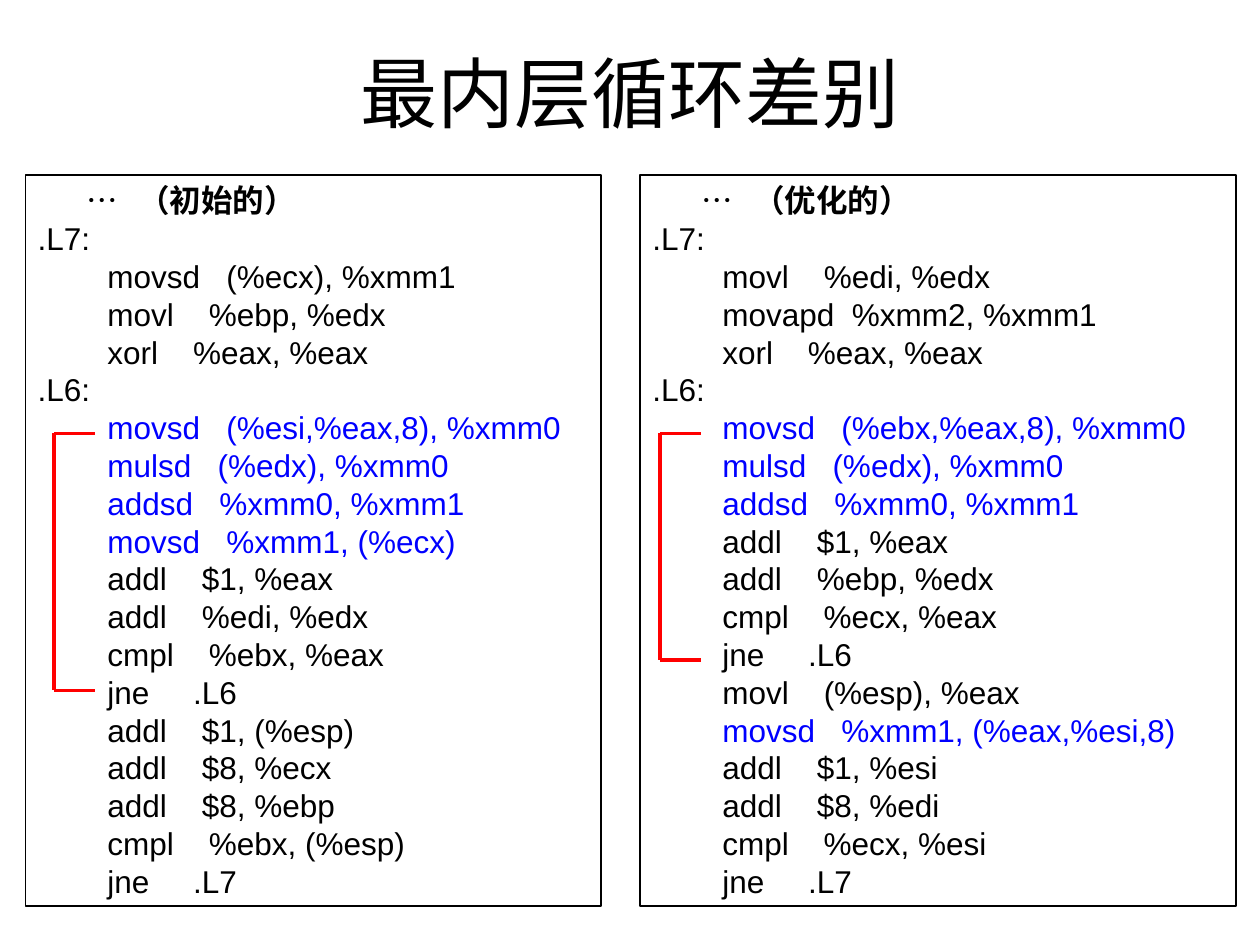
from dataclasses import dataclass

from lxml import etree
from pptx import Presentation
from pptx.dml.color import RGBColor
from pptx.enum.shapes import MSO_CONNECTOR
from pptx.enum.text import MSO_ANCHOR, MSO_AUTO_SIZE, PP_ALIGN
from pptx.oxml.ns import qn
from pptx.util import Inches, Pt

STRAIGHT = MSO_CONNECTOR.STRAIGHT
MIDDLE = MSO_ANCHOR.MIDDLE
FIT_SHAPE = MSO_AUTO_SIZE.SHAPE_TO_FIT_TEXT
CENTER, LEFT = PP_ALIGN.CENTER, PP_ALIGN.LEFT

BLACK, BLUE, RED = "000000", "0000FF", "FF0000"
PANEL_TOP, PANEL_HEIGHT = 1.39, 5.8
BRACKET_TOP, BRACKET_ARM = 3.44, 0.32
HEADING_TABS = (0.39, 0.8)


@dataclass
class Listing:
    label: str
    code: str
    blue_lines: tuple[int, ...]  # counted from the first line of code
    left: float
    width: float
    bracket_left: float
    bracket_bottom: float


INITIAL = Listing("（初始的）", """\
.L7:
        movsd   (%ecx), %xmm1
        movl    %ebp, %edx
        xorl    %eax, %eax
.L6:
        movsd   (%esi,%eax,8), %xmm0
        mulsd   (%edx), %xmm0
        addsd   %xmm0, %xmm1
        movsd   %xmm1, (%ecx)
        addl    $1, %eax
        addl    %edi, %edx
        cmpl    %ebx, %eax
        jne     .L6
        addl    $1, (%esp)
        addl    $8, %ecx
        addl    $8, %ebp
        cmpl    %ebx, (%esp)
        jne     .L7""", (5, 6, 7, 8), 0.2, 4.57, 0.43, 5.48)

OPTIMIZED = Listing("（优化的）", """\
.L7:
        movl    %edi, %edx
        movapd  %xmm2, %xmm1
        xorl    %eax, %eax
.L6:
        movsd   (%ebx,%eax,8), %xmm0
        mulsd   (%edx), %xmm0
        addsd   %xmm0, %xmm1
        addl    $1, %eax
        addl    %ebp, %edx
        cmpl    %ecx, %eax
        jne     .L6
        movl    (%esp), %eax
        movsd   %xmm1, (%eax,%esi,8)
        addl    $1, %esi
        addl    $8, %edi
        cmpl    %ecx, %esi
        jne     .L7""", (5, 6, 7, 13), 5.08, 4.73, 5.24, 5.24)


def paint(color_format, color: str) -> None:
    color_format.rgb = RGBColor.from_string(color)


def style(span, size: float, font: str, color: str, bold: bool = False) -> None:
    span.font.size = Pt(size)
    span.font.name = font
    span.font.bold = bold
    paint(span.font.color, color)


def add_tab_stops(para, stops: tuple[float, ...]) -> None:
    tab_list = etree.SubElement(para._p.get_or_add_pPr(), qn("a:tabLst"))
    for stop in stops:
        etree.SubElement(tab_list, qn("a:tab"), pos=str(Inches(stop)), algn="l")


def draw_panel(page, listing: Listing) -> None:
    box = page.shapes.add_textbox(Inches(listing.left), Inches(PANEL_TOP),
                                  Inches(listing.width), Inches(PANEL_HEIGHT))
    paint(box.line.color, BLACK)
    box.line.width = Pt(0.75)
    frame = box.text_frame
    frame.word_wrap = True
    frame.auto_size = FIT_SHAPE

    # Heading: ellipsis and label, each at its own tab stop
    heading = frame.paragraphs[0]
    heading.alignment = LEFT
    heading.text = "\t…\t"
    add_tab_stops(heading, HEADING_TABS)
    style(heading.runs[0], 18, "Arial", BLACK)
    label = heading.add_run()
    label.text = listing.label
    style(label, 18, "Arial", BLACK, bold=True)

    # Code, one paragraph a line
    for index, line in enumerate(listing.code.splitlines()):
        para = frame.add_paragraph()
        para.alignment = LEFT
        para.text = line
        color = BLUE if index in listing.blue_lines else BLACK
        style(para.runs[0], 18, "Arial", color)


def draw_bracket(page, listing: Listing) -> None:
    left, bottom = listing.bracket_left, listing.bracket_bottom
    right = left + BRACKET_ARM
    corners = [(right, BRACKET_TOP), (left, BRACKET_TOP), (left, bottom), (right, bottom)]
    for start, end in zip(corners, corners[1:]):
        line = page.shapes.add_connector(STRAIGHT, *map(Inches, start + end))
        paint(line.line.color, RED)
        line.line.width = Pt(2)
        etree.SubElement(line._element.spPr, qn("a:effectLst"))


def main() -> None:
    deck = Presentation()
    deck.slide_width, deck.slide_height = Inches(10), Inches(7.5)
    page = deck.slides.add_slide(deck.slide_layouts[5])

    # Title
    title = page.shapes.title
    title.left, title.top = Inches(0.5), Inches(0.3)
    title.width, title.height = Inches(9), Inches(0.85)
    title.text_frame.text = "最内层循环差别"
    title.text_frame.vertical_anchor = MIDDLE
    para = title.text_frame.paragraphs[0]
    para.alignment = CENTER
    style(para.runs[0], 44, "Calibri", BLACK)

    # Listings, then the brackets around their inner loops
    for listing in (INITIAL, OPTIMIZED):
        draw_panel(page, listing)
    for listing in (INITIAL, OPTIMIZED):
        draw_bracket(page, listing)

    deck.save("out.pptx")


if __name__ == "__main__":
    main()
